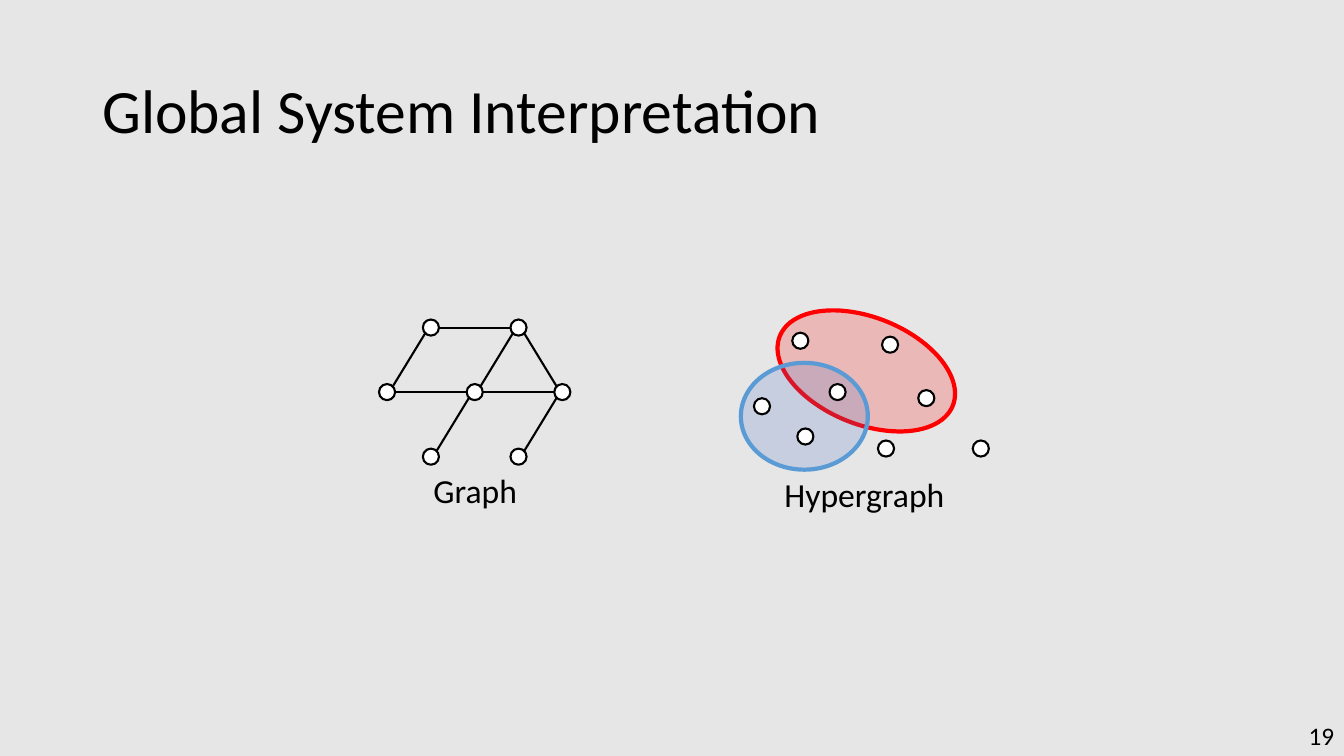
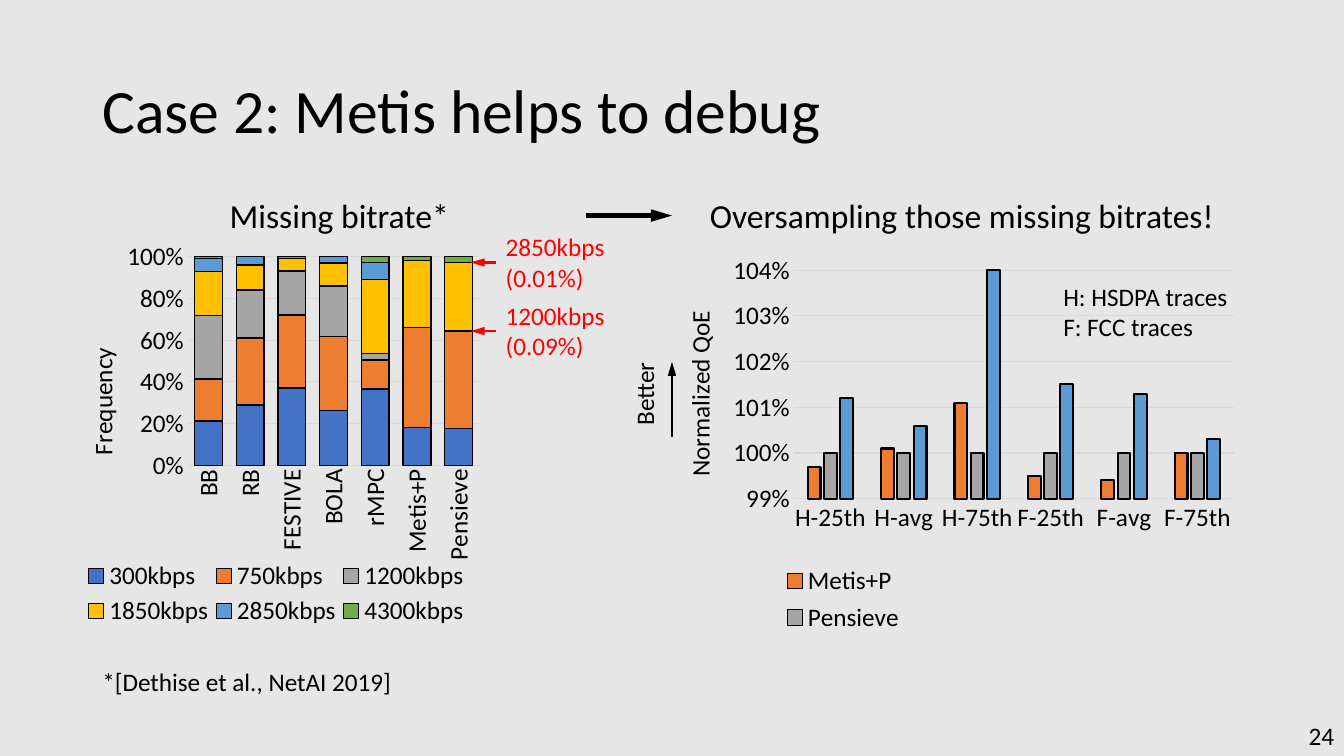
"""Build two slides: graph versus hypergraph, and a debugging case with two charts."""
from math import sqrt

from lxml.etree import SubElement
from pptx import Presentation
from pptx.chart.data import CategoryChartData
from pptx.dml.color import RGBColor
from pptx.enum.chart import XL_CHART_TYPE as ChartType
from pptx.enum.chart import XL_LEGEND_POSITION as LegendSpot
from pptx.enum.chart import XL_TICK_MARK as Tick
from pptx.enum.shapes import MSO_CONNECTOR as Link
from pptx.enum.shapes import MSO_SHAPE as Preset
from pptx.enum.text import MSO_ANCHOR as Anchor
from pptx.enum.text import PP_ALIGN as Align
from pptx.oxml import parse_xml
from pptx.oxml.ns import nsdecls, qn
from pptx.util import Pt

COLORS = {
    "background": "E7E6E6", "ink": "000000", "node": "FFFFFF", "alert": "FF0000",
    "grid": "D9D9D9", "blue": "4472C4", "orange": "ED7D31", "gray": "A5A5A5",
    "gold": "FFC000", "sky": "5B9BD5", "green": "70AD47",
}
FONT = "Calibri"
BODY, HEADING, TITLE = 18, 24, 44
UPWARD = "-5400000"

NODE_SIZE = 11.5
GRAPH_ORIGIN, GRAPH_STEP = (276.5, 234), (31.3, 46.1)
GRAPH_NODES = {
    "top left": (1, 0), "top right": (3, 0),
    "left": (0, 1), "center": (2, 1), "right": (4, 1),
    "bottom left": (1, 2), "bottom right": (3, 2),
}
GRAPH_EDGES = [
    ("top left", "top right"), ("top left", "left"), ("top right", "center"),
    ("center", "bottom left"), ("center", "left"), ("right", "center"),
    ("top right", "right"), ("right", "bottom right"),
]
HYPEREDGES = [
    ((552.2, 226.8, 133.2, 76.3), 21.9, "alert", "alert"),
    ((529.2, 259.2, 90.7, 76.3), 0, "blue", "sky"),
]
HYPERGRAPH_NODES = [
    (571.7, 243.4), (575.3, 311.8), (635.8, 246.2), (632.9, 320.4),
    (544.3, 290.2), (598.3, 280.1), (700.6, 320.4), (661.7, 284.4),
]

BITRATE = {
    "kind": ChartType.COLUMN_STACKED_100,
    "box": (57.6, 169.2, 293.8, 281.5),
    "categories": ["BB", "RB", "FESTIVE", "BOLA", "rMPC", "Metis+P", "Pensieve"],
    "series": [
        ("300kbps", "blue", (21, 29, 37, 26, 37, 18, 18)),
        ("750kbps", "orange", (20, 32, 35, 35, 14, 48, 47)),
        ("1200kbps", "gray", (30, 23, 21, 24, 3, 0, 0)),
        ("1850kbps", "gold", (21, 12, 6, 11, 36, 32, 33)),
        ("2850kbps", "sky", (6, 4, 1, 3, 8, 0, 0)),
        ("4300kbps", "green", (1, 0, 0, 0, 3, 2, 3)),
    ],
    "outline": 1, "gap": 50, "overlap": 100,
    "scale": (0, 1, 0.2), "axis": "Frequency", "axis_at": (0, 0.27),
    "plot": (0.26, 0.05, 0.71, 0.53), "legend": (0, 0.81, 0.95, 0.19),
    "labels_upward": True,
}
QOE = {
    "kind": ChartType.COLUMN_CLUSTERED,
    "box": (480, 178.6, 414, 286.6),
    "categories": ["H-25th", "H-avg", "H-75th", "F-25th", "F-avg", "F-75th"],
    "series": [
        ("Metis+P", "orange", (0.997, 1.001, 1.011, 0.995, 0.994, 1)),
        ("Pensieve", "gray", (1, 1, 1, 1, 1, 1)),
        ("", "sky", (1.012, 1.006, 1.04, 1.015, 1.013, 1.003)),
    ],
    "outline": 1.5, "gap": 219, "overlap": -27,
    "scale": (0.99, 1.04, 0.01), "axis": "Normalized QoE", "axis_at": (0.01, 0.14),
    "plot": (0.21, 0.05, 0.76, 0.57), "legend": (0.17, 0.77, 0.25, 0.2),
    "labels_upward": False,
}
CASE_TEXTS = [
    (["*[Dethise et al., NetAI 2019]"], (66, 472.3, 260, 28.8), BODY, Align.LEFT),
    (["Missing bitrate*"], (66, 135.4, 352.8, 36), HEADING, Align.CENTER),
    (["Oversampling those missing bitrates!"], (480, 135.4, 414, 36), HEADING, Align.CENTER),
    (["H: HSDPA traces", "F: FCC traces"], (752.4, 197.3, 140, 51), BODY, Align.LEFT),
]
CALLOUTS = [("1200kbps (0.09%)", 211), ("2850kbps (0.01%)", 162)]


def rgb(name):
    return RGBColor.from_string(COLORS[name])


def points(values):
    return [Pt(value) for value in values]


def style_font(font, size=BODY, color="ink"):
    font.name, font.size, font.bold = FONT, Pt(size), False
    font.color.rgb = rgb(color)


def style_line(line, color, width):
    line.color.rgb = rgb(color)
    line.width = Pt(width)


def add_text(shapes, lines, box, size=BODY, align=Align.LEFT, color="ink", wrap=True):
    frame = shapes.add_textbox(*points(box)).text_frame
    frame.word_wrap = wrap
    for index, line in enumerate(lines):
        paragraph = frame.add_paragraph() if index else frame.paragraphs[0]
        paragraph.alignment = align
        run = paragraph.add_run()
        run.text = line
        style_font(run.font, size, color)
    return frame


def add_line(shapes, start, end, color="ink", width=1.5, arrow=False):
    connector = shapes.add_connector(Link.STRAIGHT, *points(start + end))
    style_line(connector.line, color, width)
    if arrow:
        outline = connector.element.xpath(".//a:ln")[0]
        SubElement(outline, qn("a:tailEnd"), type="triangle", w="med", len="lg")
    SubElement(connector.element.spPr, qn("a:effectLst"))


def add_ellipse(shapes, box, fill, line, width, opacity=100, rotation=0):
    ellipse = shapes.add_shape(Preset.OVAL, *points(box))
    ellipse.shadow.inherit = False
    ellipse.rotation = rotation
    ellipse.fill.solid()
    ellipse.fill.fore_color.rgb = rgb(fill)
    style_line(ellipse.line, line, width)
    if opacity < 100:
        tint = ellipse.element.xpath("./p:spPr/a:solidFill/a:srgbClr")[0]
        SubElement(tint, qn("a:alpha"), val=str(opacity * 1000))


def add_node(shapes, center):
    left, top = (value - NODE_SIZE / 2 for value in center)
    add_ellipse(shapes, (left, top, NODE_SIZE, NODE_SIZE), "node", "ink", 1.5)


def add_edge(shapes, start, end):
    dx, dy = end[0] - start[0], end[1] - start[1]
    reach = NODE_SIZE / 2 / (sqrt(2) if dy else 1)
    trim_x = reach if dx > 0 else -reach
    trim_y = reach if dy else 0
    add_line(shapes, (start[0] + trim_x, start[1] + trim_y),
             (end[0] - trim_x, end[1] - trim_y))


def place(parent, index, spot, inner=False):
    for old in parent.findall(qn("c:layout")):
        parent.remove(old)
    target = '<c:layoutTarget val="inner"/>' if inner else ""
    modes = "".join(f'<c:{axis}Mode val="edge"/>' for axis in "xy")
    sizes = "".join(f'<c:{key} val="{value}"/>' for key, value in zip("xywh", spot))
    parent.insert(index, parse_xml(
        f'<c:layout {nsdecls("c")}><c:manualLayout>{target}{modes}{sizes}'
        "</c:manualLayout></c:layout>"))


def style_axes(chart, content):
    categories, values = chart.category_axis, chart.value_axis
    for axis in (categories, values):
        axis.major_tick_mark = axis.minor_tick_mark = Tick.NONE
        style_font(axis.tick_labels.font)
    categories.has_major_gridlines = False
    style_line(categories.format.line, "grid", 0.75)
    if content["labels_upward"]:
        chart.element.xpath(".//c:catAx/c:txPr/a:bodyPr")[0].set("rot", UPWARD)
    values.minimum_scale, values.maximum_scale, values.major_unit = content["scale"]
    values.tick_labels.number_format = "0%"
    values.tick_labels.number_format_is_linked = False
    values.format.line.fill.background()
    style_line(values.major_gridlines.format.line, "grid", 0.75)
    run = values.axis_title.text_frame.paragraphs[0].add_run()
    run.text = content["axis"]
    style_font(run.font)
    title = chart.element.xpath(".//c:valAx/c:title")[0]
    body = title.xpath(".//a:bodyPr")[0]
    body.set("rot", UPWARD)
    body.set("vert", "horz")
    place(title, 1, content["axis_at"])


def style_legend(chart, content):
    chart.has_legend = True
    chart.legend.position = LegendSpot.BOTTOM
    chart.legend.include_in_layout = False
    style_font(chart.legend.font)
    legend = chart.element.xpath(".//c:legend")[0]
    place(legend, 1, content["legend"])
    for index, (name, _, _) in enumerate(content["series"]):
        if not name:
            legend.insert(1, parse_xml(
                f'<c:legendEntry {nsdecls("c")}><c:idx val="{index}"/>'
                '<c:delete val="1"/></c:legendEntry>'))


def add_columns(shapes, content):
    data = CategoryChartData()
    data.categories = content["categories"]
    for name, _, values in content["series"]:
        data.add_series(name, values)
    chart = shapes.add_chart(content["kind"], *points(content["box"]), data).chart
    chart.has_title = False
    style_font(chart.font)
    plot = chart.plots[0]
    plot.vary_by_categories = False
    plot.gap_width, plot.overlap = content["gap"], content["overlap"]
    for series, (_, color, _) in zip(plot.series, content["series"]):
        series.format.fill.solid()
        series.format.fill.fore_color.rgb = rgb(color)
        style_line(series.format.line, "ink", content["outline"])
    style_axes(chart, content)
    style_legend(chart, content)
    place(chart.element.xpath(".//c:plotArea")[0], 0, content["plot"], inner=True)


def add_slide(deck, title, number):
    shapes = deck.slides.add_slide(deck.slide_layouts[6]).shapes
    heading = add_text(shapes, [title], (66, 28.8, 828, 104.4), TITLE)
    heading.paragraphs[0].line_spacing = 0.9
    footer = add_text(shapes, [number], (744, 511.2, 216, 28.8), align=Align.RIGHT)
    heading.vertical_anchor = footer.vertical_anchor = Anchor.MIDDLE
    return shapes


def build_interpretation(deck):
    shapes = add_slide(deck, "Global System Interpretation", "19")
    graph = shapes.add_group_shape().shapes
    centers = {
        name: tuple(start + step * count for start, step, count
                    in zip(GRAPH_ORIGIN, GRAPH_STEP, cell))
        for name, cell in GRAPH_NODES.items()
    }
    for center in centers.values():
        add_node(graph, center)
    for start, end in GRAPH_EDGES:
        add_edge(graph, centers[start], centers[end])
    add_text(graph, ["Graph"], (302.4, 331.9, 74.2, 36), HEADING, Align.CENTER, wrap=False)

    hypergraph = shapes.add_group_shape().shapes
    for box, rotation, fill, line in HYPEREDGES:
        add_ellipse(hypergraph, box, fill, line, 3, 20, rotation)
    for center in HYPERGRAPH_NODES:
        add_node(hypergraph, center)
    add_text(hypergraph, ["Hypergraph"], (553, 334.8, 128.9, 36), HEADING,
             Align.CENTER, wrap=False)


def build_case(deck):
    shapes = add_slide(deck, "Case 2: Metis helps to debug", "24")
    add_columns(shapes, QOE)
    add_columns(shapes, BITRATE)
    for lines, box, size, align in CASE_TEXTS:
        add_text(shapes, lines, box, size, align)
    add_line(shapes, (418.4, 154), (480, 154), width=3, arrow=True)
    for label, top in CALLOUTS:
        middle = top + 25.5
        add_line(shapes, (354.2, middle), (336.2, middle), "alert", arrow=True)
        add_text(shapes, [label], (354.2, top, 100.8, 51), color="alert")
    add_line(shapes, (480, 312.5), (480, 258.5), arrow=True)
    better = add_text(shapes, ["Better"], (445.7, 258.5, 36, 52.6), wrap=False)
    better._txBody.bodyPr.set("vert", "vert270")


def main():
    deck = Presentation()
    deck.slide_width, deck.slide_height = Pt(960), Pt(540)
    backdrop = deck.slide_master.background.fill
    backdrop.solid()
    backdrop.fore_color.rgb = rgb("background")
    build_interpretation(deck)
    build_case(deck)
    deck.save("out.pptx")


if __name__ == "__main__":
    main()
